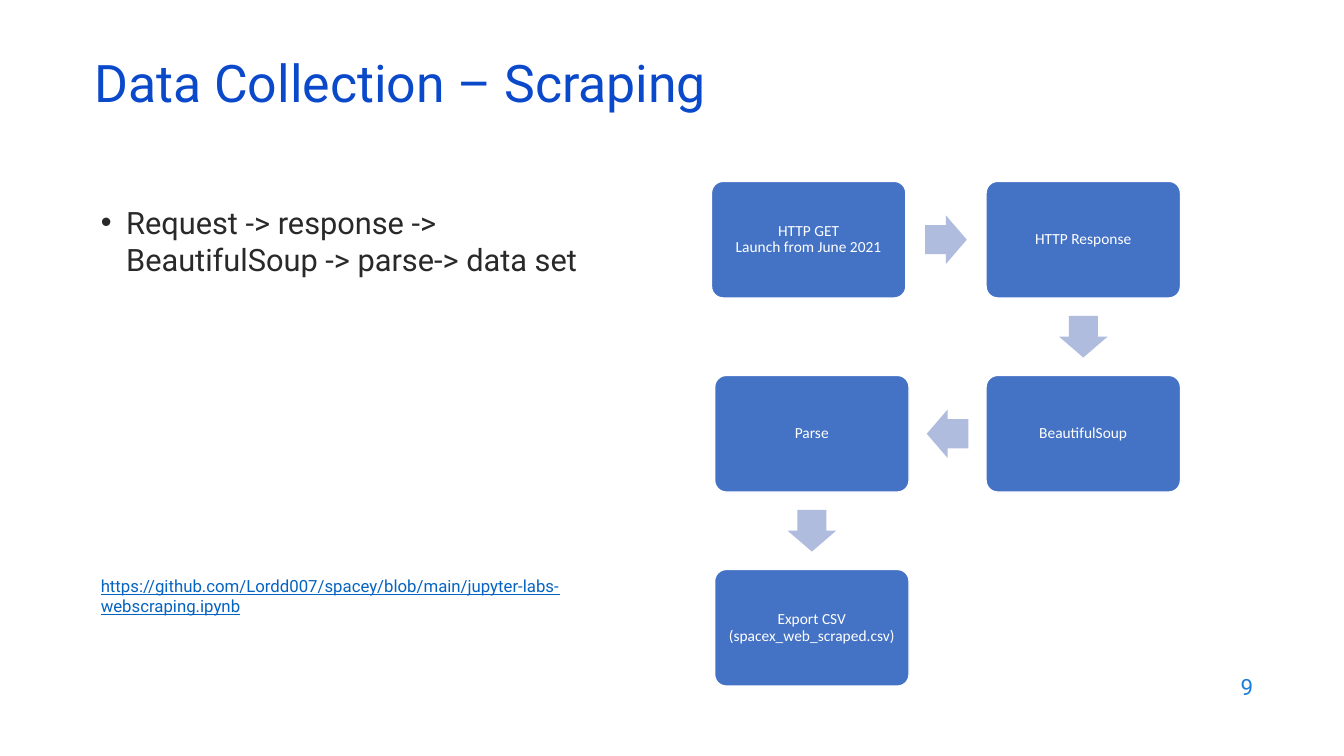
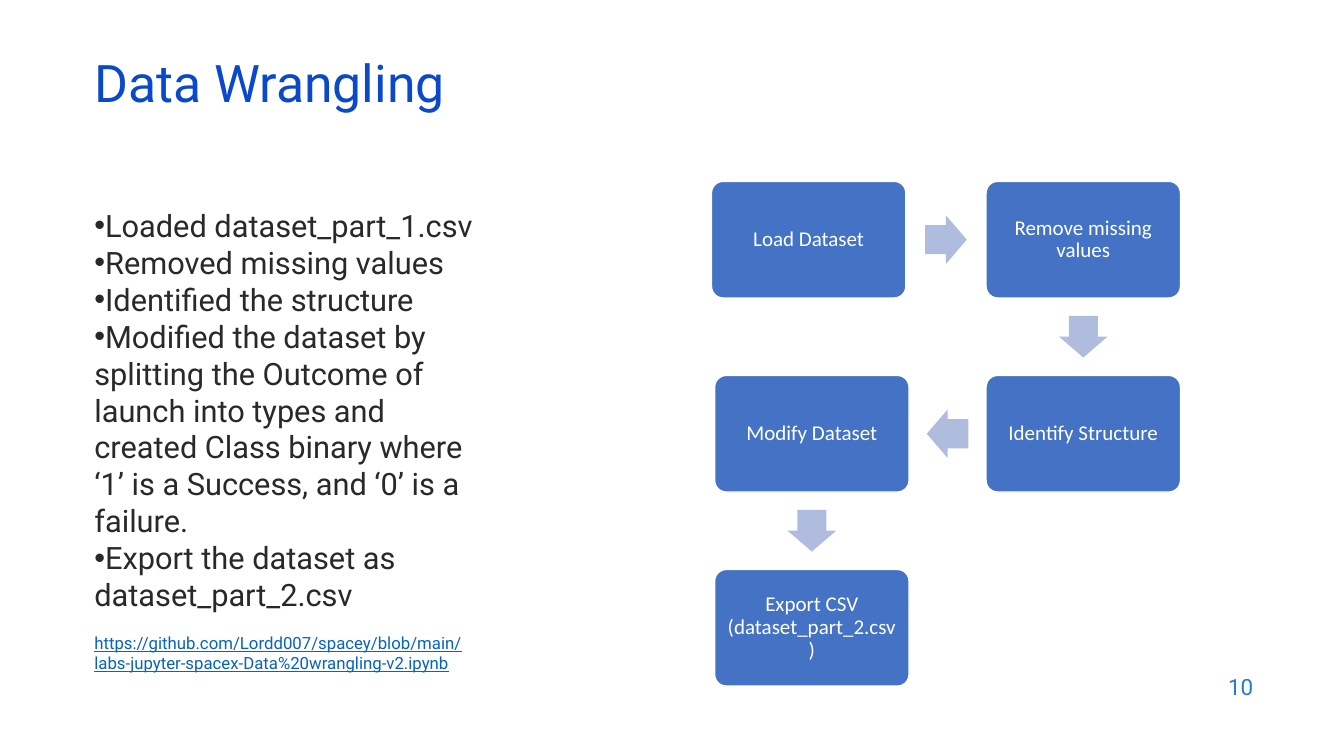
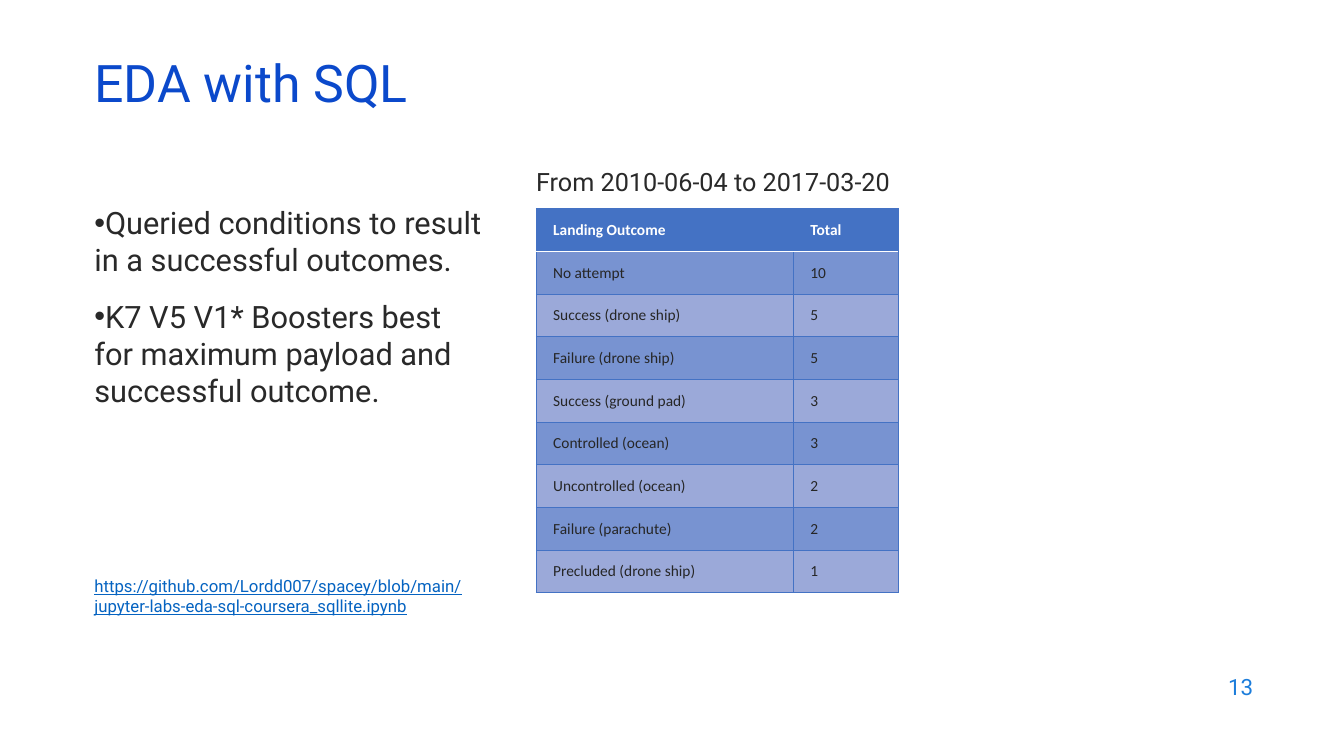
"""Build three slides on data work: two flow charts and a table."""
from dataclasses import dataclass
from itertools import pairwise
from math import atan2, degrees

from lxml import etree
from pptx import Presentation
from pptx.dml.color import RGBColor
from pptx.enum.shapes import MSO_SHAPE
from pptx.enum.text import MSO_ANCHOR, PP_ALIGN
from pptx.oxml.ns import qn
from pptx.util import Cm, Pt

BOX, ARROW = MSO_SHAPE.ROUNDED_RECTANGLE, MSO_SHAPE.RIGHT_ARROW
TOP, MIDDLE = MSO_ANCHOR.TOP, MSO_ANCHOR.MIDDLE
LEFT, CENTER, RIGHT = PP_ALIGN.LEFT, PP_ALIGN.CENTER, PP_ALIGN.RIGHT


@dataclass(frozen=True)
class Theme:
    head: str = "Roboto"
    body: str = "Calibri"
    title: str = "0B49CB"
    ink: str = "292929"
    cell: str = "262626"
    link: str = "0563C1"
    number: str = "1C7DDB"
    accent: str = "4472C4"
    arrow: str = "B0BCDE"
    dark: str = "7893D1"
    light: str = "9BA9D9"
    white: str = "FFFFFF"
    title_size: float = 37
    text_size: float = 22
    note_size: float = 18
    page_size: float = 16
    link_size: float = 12
    cell_size: float = 11


@dataclass(frozen=True)
class Style:
    size: float
    color: str
    font: str = Theme.head
    bold: bool = False
    line: bool = False


@dataclass(frozen=True)
class Area:
    left: float
    top: float
    width: float
    height: float


@dataclass(frozen=True)
class Bullets:
    area: Area
    items: tuple[str, ...]
    gap: float = 0
    hang: float = 0


@dataclass(frozen=True)
class Link:
    area: Area
    text: str


@dataclass(frozen=True)
class Flow:
    steps: tuple[str, ...]
    size: float


@dataclass(frozen=True)
class Grid:
    note: str
    rows: tuple[tuple[str, str], ...]


@dataclass(frozen=True)
class Page:
    title: str
    number: int
    bullets: Bullets
    link: Link
    figure: Flow | Grid


THEME = Theme()
TITLE = Style(THEME.title_size, THEME.title)
TEXT = Style(THEME.text_size, THEME.ink)
NOTE = Style(THEME.note_size, THEME.ink)
NUMBER = Style(THEME.page_size, THEME.number)
LINK = Style(THEME.link_size, THEME.link, line=True)
HEADER = Style(THEME.cell_size, THEME.white, THEME.body, bold=True)
CELL = Style(THEME.cell_size, THEME.cell, THEME.body)

TITLE_AREA = Area(2.13, 1.5, 29.21, 1.52)
PAGE_AREA = Area(24.21, 16.74, 7.62, 1.12)
NOTE_AREA = Area(13.26, 4.06, 10.34, 1.02)
GRID_AREA = Area(13.51, 5.26, 9.12, 9.68)
GRID_COLS = (6.48, 2.64)

BOX_W, BOX_H = 4.9, 2.94
ARROW_W, ARROW_H = 1.05, 1.22
COL_A, COL_B = 18.01, 24.85
ROWS = [4.57 + 4.89 * row for row in range(3)]
SPOTS = ((17.93, ROWS[0]), (COL_B, ROWS[0]), (COL_B, ROWS[1]),
         (COL_A, ROWS[1]), (COL_A, ROWS[2]))

PAGES = (
    Page(
        "Data Collection – Scraping", 9,
        Bullets(Area(2.29, 5, 12.88, 3),
                ("Request -> response -> BeautifulSoup -> parse-> data set",),
                hang=0.64),
        Link(Area(2.29, 14.38, 12.88, 1.3),
             "https://github.com/Lordd007/spacey/blob/main/jupyter-labs-webscraping.ipynb"),
        Flow(("HTTP GET\nLaunch from June 2021", "HTTP Response", "BeautifulSoup",
              "Parse", "Export CSV\n(spacex_web_scraped.csv)"), 11),
    ),
    Page(
        "Data Wrangling", 10,
        Bullets(Area(2.13, 5.08, 10.26, 10.6),
                ("Loaded dataset_part_1.csv",
                 "Removed missing values",
                 "Identified the structure",
                 "Modified the dataset by splitting the Outcome of launch into types "
                 "and created Class binary where ‘1’ is a Success, and ‘0’ is a failure.",
                 "Export the dataset as dataset_part_2.csv")),
        Link(Area(2.13, 15.82, 10.26, 1.3),
             "https://github.com/Lordd007/spacey/blob/main/labs-jupyter-spacex-Data%20wrangling-v2.ipynb"),
        Flow(("Load Dataset", "Remove missing values", "Identify Structure",
              "Modify Dataset", "Export CSV\n(dataset_part_2.csv)"), 15),
    ),
    Page(
        "EDA with SQL", 13,
        Bullets(Area(2.13, 5.02, 10.34, 6),
                ("Queried conditions to result in a successful outcomes.",
                 "K7 V5 V1* Boosters best for maximum payload and successful outcome."),
                gap=14),
        Link(Area(2.13, 14.38, 10.34, 1.3),
             "https://github.com/Lordd007/spacey/blob/main/jupyter-labs-eda-sql-coursera_sqllite.ipynb"),
        Grid("From 2010-06-04 to 2017-03-20",
             (("Landing Outcome", "Total"), ("No attempt", "10"),
              ("Success (drone ship)", "5"), ("Failure (drone ship)", "5"),
              ("Success (ground pad)", "3"), ("Controlled (ocean)", "3"),
              ("Uncontrolled (ocean)", "2"), ("Failure (parachute)", "2"),
              ("Precluded (drone ship)", "1"))),
    ),
)


def rgb(color: str) -> RGBColor:
    return RGBColor.from_string(color)


def place(area: Area) -> tuple[Cm, Cm, Cm, Cm]:
    return Cm(area.left), Cm(area.top), Cm(area.width), Cm(area.height)


def write(para, text: str, style: Style, align=LEFT, pitch: float = 1) -> None:
    para.alignment, para.line_spacing = align, pitch
    for index, line in enumerate(text.split("\n")):
        if index:
            para.add_line_break()
        run = para.add_run()
        run.text = line
        font = run.font
        font.name, font.size, font.bold = style.font, Pt(style.size), style.bold
        font.underline = style.line
        font.color.rgb = rgb(style.color)


def add_frame(slide, area: Area, anchor=TOP):
    frame = slide.shapes.add_textbox(*place(area)).text_frame
    frame.word_wrap, frame.vertical_anchor = True, anchor
    return frame


def add_label(slide, area: Area, text: str, style: Style,
              anchor=TOP, align=LEFT, pitch: float = 1) -> None:
    write(add_frame(slide, area, anchor).paragraphs[0], text, style, align, pitch)


def add_bullets(slide, block: Bullets) -> None:
    frame = add_frame(slide, block.area)
    for index, item in enumerate(block.items):
        para = frame.add_paragraph() if index else frame.paragraphs[0]
        props = para._p.get_or_add_pPr()
        props.set("marL", str(Cm(block.hang)))
        props.set("indent", str(-Cm(block.hang)))
        font = etree.SubElement(props, qn("a:buFont"))
        font.set("typeface", "Arial")
        etree.SubElement(props, qn("a:buChar")).set("char", "•")
        if index:
            para.space_before = Pt(block.gap)
        write(para, item, TEXT)


def add_solid(slide, kind, area: Area, color: str):
    shape = slide.shapes.add_shape(kind, *place(area))
    shape.shadow.inherit = False
    shape.fill.solid()
    shape.fill.fore_color.rgb = rgb(color)
    shape.line.fill.background()
    return shape


def add_step(slide, left: float, top: float, text: str, size: float) -> None:
    box = add_solid(slide, BOX, Area(left, top, BOX_W, BOX_H), THEME.accent)
    box.adjustments[0] = 0.1
    box.line.color.rgb, box.line.width = rgb(THEME.white), Pt(1)
    frame = box.text_frame
    frame.word_wrap, frame.vertical_anchor = True, MIDDLE
    frame.margin_left = frame.margin_right = Cm(0.2)
    frame.margin_top = frame.margin_bottom = Cm(0.2)
    write(frame.paragraphs[0], text, Style(size, THEME.white, THEME.body), CENTER, 0.9)


def add_flow(slide, flow: Flow) -> None:
    for (left, top), text in zip(SPOTS, flow.steps):
        add_step(slide, left, top, text, flow.size)
    for (x1, y1), (x2, y2) in pairwise(SPOTS):
        area = Area((x1 + x2 + BOX_W - ARROW_W) / 2,
                    (y1 + y2 + BOX_H - ARROW_H) / 2, ARROW_W, ARROW_H)
        arrow = add_solid(slide, ARROW, area, THEME.arrow)
        arrow.adjustments[0], arrow.adjustments[1] = 0.6, 0.5
        arrow.rotation = degrees(atan2(y2 - y1, x2 - x1))


def add_edge(cell, index: int, side: str, color: str, width: float) -> None:
    edge = etree.Element(qn(f"a:ln{side}"), w=str(Pt(width)))
    fill = etree.SubElement(edge, qn("a:solidFill"))
    etree.SubElement(fill, qn("a:srgbClr"), val=color)
    cell._tc.get_or_add_tcPr().insert(index, edge)


def fill_cell(cell, row: int, text: str) -> None:
    cell.vertical_anchor, cell.margin_left = MIDDLE, Cm(0.43)
    cell.fill.solid()
    band = THEME.dark if row % 2 else THEME.light
    cell.fill.fore_color.rgb = rgb(band if row else THEME.accent)
    for index, side in enumerate("LRTB"):
        pale = (row, side) in ((0, "B"), (1, "T"))
        add_edge(cell, index, side, THEME.white if pale else THEME.accent,
                 1 if pale else 0.5)
    write(cell.text_frame.paragraphs[0], text, CELL if row else HEADER)


def add_grid(slide, grid: Grid) -> None:
    add_label(slide, NOTE_AREA, grid.note, NOTE)
    count = len(grid.rows)
    table = slide.shapes.add_table(count, len(GRID_COLS), *place(GRID_AREA)).table
    for col, width in enumerate(GRID_COLS):
        table.columns[col].width = Cm(width)
    for row, texts in enumerate(grid.rows):
        table.rows[row].height = Cm(GRID_AREA.height / count)
        for col, text in enumerate(texts):
            fill_cell(table.cell(row, col), row, text)


def add_page(deck, page: Page) -> None:
    slide = deck.slides.add_slide(deck.slide_layouts[6])
    add_label(slide, TITLE_AREA, page.title, TITLE, MIDDLE, pitch=0.7)
    add_bullets(slide, page.bullets)
    add_label(slide, page.link.area, page.link.text, LINK)
    if isinstance(page.figure, Flow):
        add_flow(slide, page.figure)
    else:
        add_grid(slide, page.figure)
    add_label(slide, PAGE_AREA, str(page.number), NUMBER, MIDDLE, RIGHT)


def main() -> None:
    deck = Presentation()
    deck.slide_width, deck.slide_height = Cm(33.87), Cm(19.05)
    for page in PAGES:
        add_page(deck, page)
    deck.save("out.pptx")


if __name__ == "__main__":
    main()
